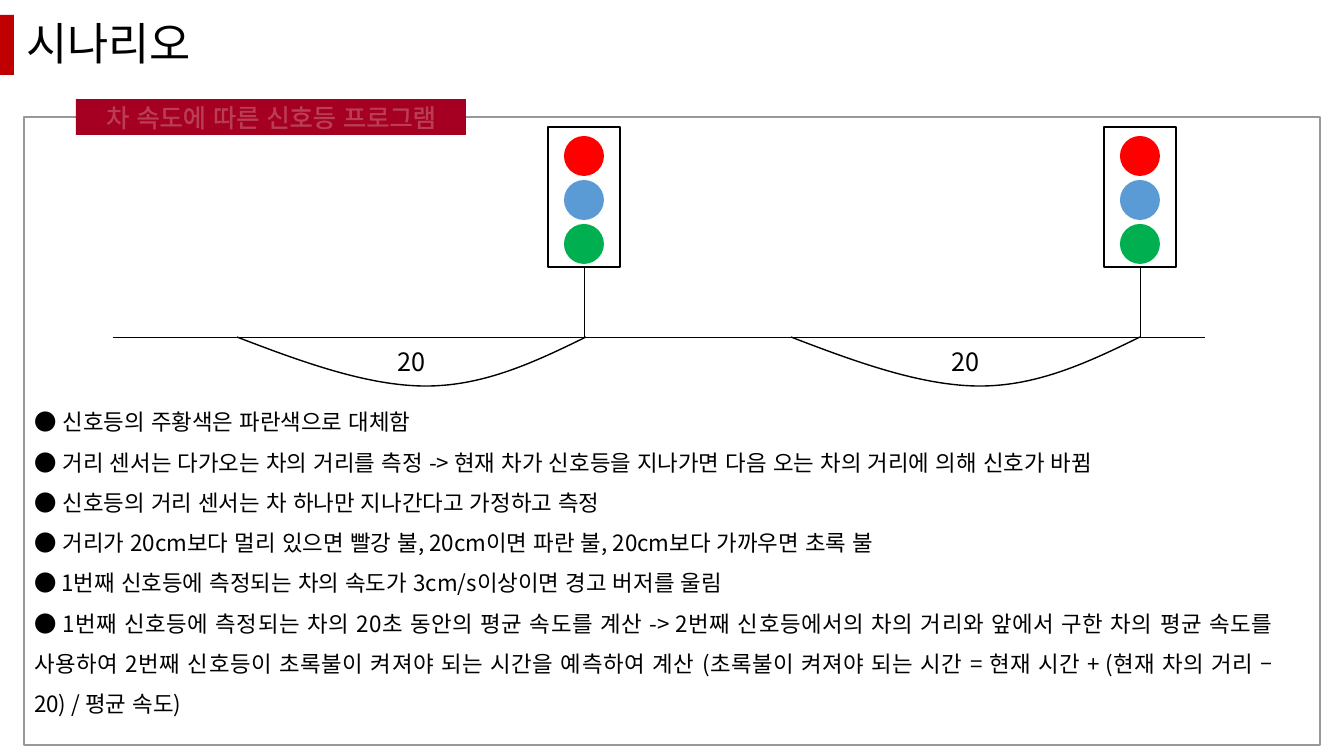
from lxml import etree
from pptx import Presentation
from pptx.dml.color import RGBColor
from pptx.enum.lang import MSO_LANGUAGE_ID as Lang
from pptx.enum.shapes import MSO_CONNECTOR as Connector, MSO_SHAPE as Shape
from pptx.enum.text import MSO_ANCHOR as Anchor, MSO_AUTO_SIZE as AutoSize, PP_ALIGN as Align
from pptx.oxml.ns import qn
from pptx.util import Pt

PX = 914400 / 100.8
FONT = "Noto Sans CJK KR"
LIGHT_COLORS = ("FF0000", "5B9BD5", "00B050")
ROAD_Y = 337
SIGNAL_TOP, SIGNAL_WIDTH, SIGNAL_HEIGHT = 127, 72, 140
LIGHT_SIZE, LIGHT_PITCH = 40, 44
RULES = (
    "● 신호등의 주황색은 파란색으로 대체함",
    "● 거리 센서는 다가오는 차의 거리를 측정 -> 현재 차가 신호등을 지나가면 다음 오는 차의 거리에 의해 신호가 바뀜",
    "● 신호등의 거리 센서는 차 하나만 지나간다고 가정하고 측정",
    "● 거리가 20cm보다 멀리 있으면 빨강 불, 20cm이면 파란 불, 20cm보다 가까우면 초록 불",
    "● 1번째 신호등에 측정되는 차의 속도가 3cm/s이상이면 경고 버저를 울림",
    "● 1번째 신호등에 측정되는 차의 20초 동안의 평균 속도를 계산 -> 2번째 신호등에서의 차의 거리와 "
    "앞에서 구한 차의 평균 속도를 사용하여 2번째 신호등이 초록불이 켜져야 되는 시간을 예측하여 계산 "
    "(초록불이 켜져야 되는 시간 = 현재 시간 + (현재 차의 거리 – 20) / 평균 속도)",
)


def emu(px):
    return round(px * PX)


def rgb(color):
    return RGBColor.from_string(color)


def add_run(paragraph, text, size, color="000000", outline=None, opacity=23):
    run = paragraph.add_run()
    run.text = text
    font = run.font
    font.size, font.name, font.language_id = Pt(size), FONT, Lang.KOREAN
    font.color.rgb = rgb(color)
    properties = run._r.get_or_add_rPr()
    etree.SubElement(properties, qn("a:ea"), typeface=FONT)
    if outline:
        edge = etree.Element(qn("a:ln"), w=str(Pt(0.75)))
        fill = etree.SubElement(edge, qn("a:solidFill"))
        tone = etree.SubElement(fill, qn("a:srgbClr"), val=outline)
        etree.SubElement(tone, qn("a:alpha"), val=str(opacity * 1000))
        properties.insert(0, edge)


def place(placeholder, left, top, width, height):
    placeholder.left, placeholder.top = emu(left), emu(top)
    placeholder.width, placeholder.height = emu(width), emu(height)
    frame = placeholder.text_frame
    frame.word_wrap = True
    frame.auto_size = AutoSize.SHAPE_TO_FIT_TEXT
    frame.vertical_anchor = Anchor.TOP
    return frame


def paint(shape, fill=None, line=None):
    shape.shadow.inherit = False
    if fill:
        shape.fill.solid()
        shape.fill.fore_color.rgb = rgb(fill)
    else:
        shape.fill.background()
    if line:
        shape.line.color.rgb = rgb(line)
        shape.line.width = Pt(1)
    else:
        shape.line.fill.background()


def add_block(shapes, kind, left, top, width, height, fill=None, line=None):
    block = shapes.add_shape(kind, emu(left), emu(top), emu(width), emu(height))
    paint(block, fill, line)
    return block


def add_label(shape, text, size, **style):
    frame = shape.text_frame
    frame.vertical_anchor = Anchor.MIDDLE
    paragraph = frame.paragraphs[0]
    paragraph.alignment = Align.CENTER
    add_run(paragraph, text, size, **style)


def add_line(shapes, x1, y1, x2, y2):
    line = shapes.add_connector(Connector.STRAIGHT, emu(x1), emu(y1), emu(x2), emu(y2))
    line.line.color.rgb = rgb("000000")
    line.line.width = Pt(0.5)
    etree.SubElement(line._element.spPr, qn("a:effectLst"))
    return line


def add_signal(shapes, left):
    signal = shapes.add_group_shape()
    housing = add_block(signal.shapes, Shape.RECTANGLE, left, SIGNAL_TOP,
                        SIGNAL_WIDTH, SIGNAL_HEIGHT, line="000000")
    light_left = left + (SIGNAL_WIDTH - LIGHT_SIZE) // 2
    for row, color in enumerate(LIGHT_COLORS):
        add_block(signal.shapes, Shape.OVAL, light_left, SIGNAL_TOP + 9 + row * LIGHT_PITCH,
                  LIGHT_SIZE, LIGHT_SIZE, fill=color)
    center = left + SIGNAL_WIDTH // 2
    pole = add_line(shapes, center, ROAD_Y, center, SIGNAL_TOP + SIGNAL_HEIGHT)
    pole.end_connect(housing, 2)


def add_distance_arc(shapes, left, top, distance):
    curves = (((65, 25), (131, 49), (189, 49)), ((247, 49), (298, 25), (349, 0)))
    builder = shapes.build_freeform(left, top, scale=PX)
    builder.add_line_segments([(left + x, top + y) for *_, (x, y) in curves], close=False)
    arc = builder.convert_to_shape()
    for segment, points in zip(list(arc._element.iter(qn("a:lnTo"))), curves):
        bezier = etree.Element(qn("a:cubicBezTo"))
        for x, y in points:
            etree.SubElement(bezier, qn("a:pt"), x=str(x), y=str(y))
        segment.getparent().replace(segment, bezier)
    paint(arc, line="000000")
    add_label(arc, distance, 18)


def add_title(slide, text):
    paragraph = place(slide.shapes.title, 16, 11, 622, 65).paragraphs[0]
    paragraph.alignment = Align.LEFT
    add_run(paragraph, text, 32, outline="262626")


def add_rules(slide, rules):
    frame = place(slide.placeholders[1], 24, 390, 1259, 332)
    for index, rule in enumerate(rules):
        paragraph = frame.add_paragraph() if index else frame.paragraphs[0]
        properties = paragraph._p.get_or_add_pPr()
        properties.set("marL", "0")
        properties.set("indent", "0")
        etree.SubElement(properties, qn("a:buNone"))
        paragraph.alignment = Align.JUSTIFY
        paragraph.line_spacing = 1.5
        paragraph.space_before = Pt(0)
        add_run(paragraph, rule, 16, outline="262626", opacity=30)


def main():
    deck = Presentation()
    deck.slide_width, deck.slide_height = emu(1344), emu(756)
    slide = deck.slides.add_slide(deck.slide_layouts[1])
    shapes = slide.shapes
    add_title(slide, "시나리오")
    add_rules(slide, RULES)
    add_block(shapes, Shape.RECTANGLE, 0, 15, 14, 60, fill="C00000")
    add_block(shapes, Shape.RECTANGLE, 24, 117, 1296, 628, line="989898")
    banner = add_block(shapes, Shape.RECTANGLE, 76, 99, 390, 36, fill="A50021")
    add_label(banner, "차 속도에 따른 신호등 프로그램", 18, color="FFFFFF", outline="FFFFFF")
    add_line(shapes, 113, ROAD_Y, 1205, ROAD_Y)
    for signal_left, arc_left in ((548, 237), (1104, 791)):
        add_signal(shapes, signal_left)
        add_distance_arc(shapes, arc_left, ROAD_Y, "20")
    deck.save("out.pptx")


if __name__ == "__main__":
    main()
